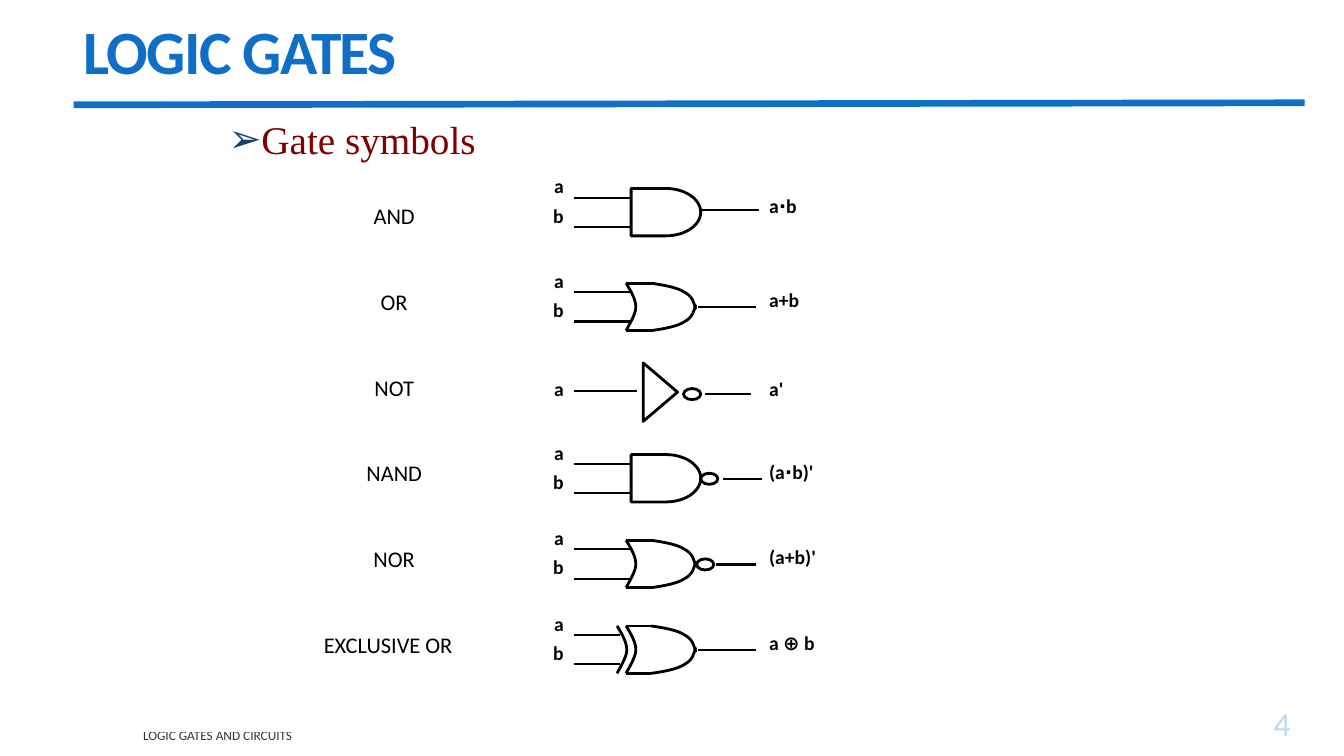
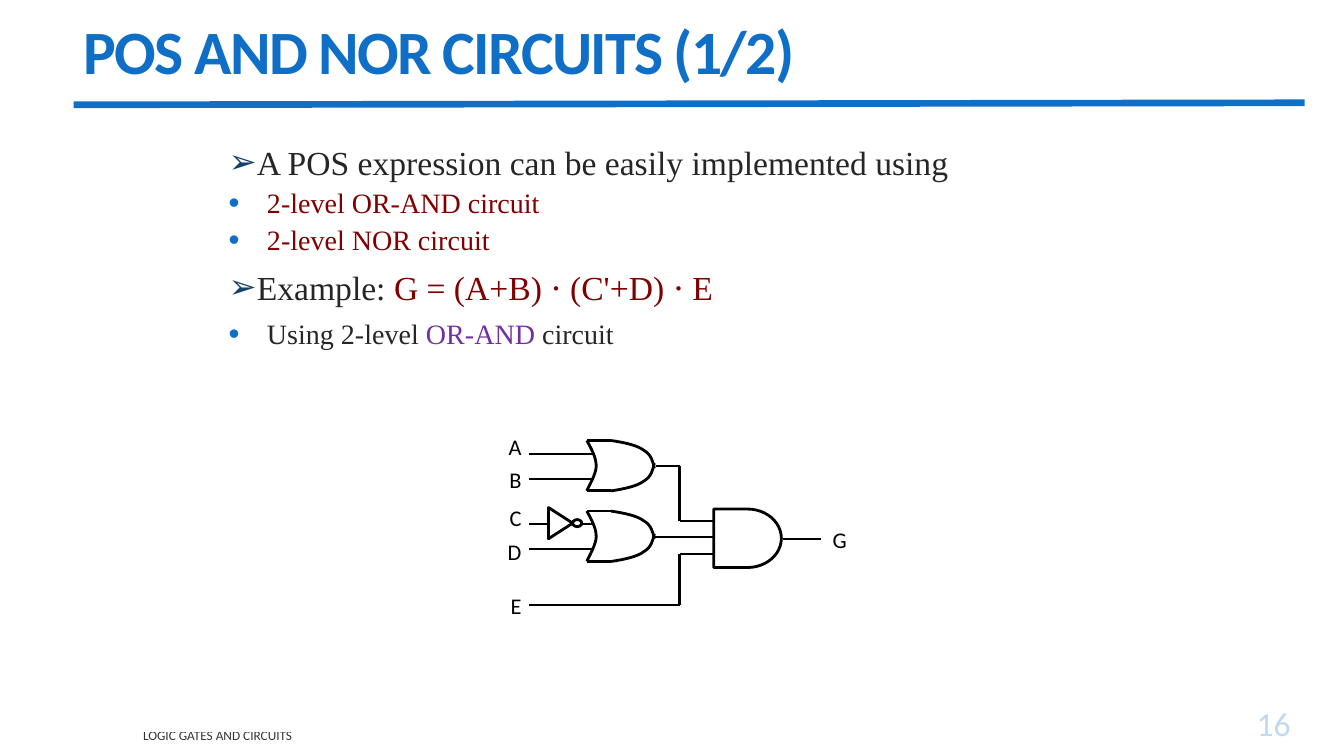
from dataclasses import dataclass

from lxml import etree
from pptx import Presentation
from pptx.dml.color import RGBColor
from pptx.enum.shapes import MSO_CONNECTOR, MSO_SHAPE
from pptx.enum.text import MSO_ANCHOR, PP_ALIGN
from pptx.oxml.ns import qn
from pptx.util import Inches, Pt


@dataclass(frozen=True)
class Theme:
    blue: str = "0F6FC6"
    navy: str = "17406D"
    maroon: str = "800000"
    purple: str = "7030A0"
    ink: str = "262626"
    black: str = "000000"
    white: str = "FFFFFF"
    number_alpha: int = 25
    footer_alpha: int = 80
    sans: str = "Calibri"
    serif: str = "Times New Roman"
    bullet_font: str = "Arial"
    title_size: float = 44
    number_size: float = 24
    footer_size: float = 9.5
    name_size: float = 16
    signal_size: float = 14
    heading_size: float = 28
    point_size: float = 24
    detail_size: float = 20
    rule_width: float = 4.75
    gate_width: float = 2
    wire_width: float = 1.5


THEME = Theme()

# Bezier points of the OR outline, in fractions of the gate's size.
OR_BACK = [(0, 0), (0.07, 0.17), (0.14, 0.34), (0.14, 0.51),
           (0.14, 0.66), (0.03, 0.91), (0, 1)]
OR_UPPER = [(0.36, 0), (0.55, 0.04), (0.74, 0.09), (0.84, 0.19),
            (0.96, 0.28), (0.98, 0.43), (1, 0.55)]
OR_LOWER = [(x, 1 - y) for x, y in OR_UPPER]


def rgb(colour):
    return RGBColor.from_string(colour)


class SlideWriter:
    def __init__(self, deck, theme):
        self.deck = deck
        self.theme = theme
        self.page = None

    def start(self, title, number, number_width):
        """Open a new slide with its title, rule, footer and number."""
        theme = self.theme
        self.page = self.deck.slides.add_slide(self.deck.slide_layouts[6])
        self.line((0.73, 1.04), (12.94, 1.02), theme.blue, theme.rule_width)
        footer = self.text((1.32, 7.17, 7.52, 0.25), "LOGIC GATES AND CIRCUITS",
                           theme.footer_size, anchor=MSO_ANCHOR.MIDDLE)
        self.fade(footer, theme.footer_alpha)
        corner = self.text((12.9 - number_width, 7, number_width, 0.42), str(number),
                           theme.number_size, theme.blue, PP_ALIGN.RIGHT,
                           anchor=MSO_ANCHOR.BOTTOM)
        self.fade(corner, theme.number_alpha)
        box = self.text((0.73, 0.08, 11.78, 0.94), title, theme.title_size,
                        theme.blue, bold=True, anchor=MSO_ANCHOR.MIDDLE)
        para = box.text_frame.paragraphs[0]
        para.line_spacing = 0.85
        para.runs[0].font._element.set("spc", "-120")

    def frame(self, at, anchor=MSO_ANCHOR.TOP):
        box = self.page.shapes.add_textbox(*map(Inches, at))
        box.text_frame.word_wrap = True
        box.text_frame.vertical_anchor = anchor
        return box

    def style(self, span, font, size, colour, bold=False):
        span.font.name = font
        span.font.size = Pt(size)
        span.font.bold = bold
        span.font.color.rgb = rgb(colour)

    def fade(self, box, percent):
        """Make the text of the box partly transparent."""
        for colour in box._element.iter(qn("a:srgbClr")):
            etree.SubElement(colour, qn("a:alpha")).set("val", str(percent * 1000))

    def text(self, at, words, size, colour=THEME.black, align=PP_ALIGN.LEFT,
             bold=False, anchor=MSO_ANCHOR.TOP):
        box = self.frame(at, anchor)
        box.text_frame.text = words
        for index, para in enumerate(box.text_frame.paragraphs):
            para.alignment = align
            para.space_before = Pt(4 if index else 0)
            for span in para.runs:
                self.style(span, self.theme.sans, size, colour, bold)
        return box

    def bullets(self, at, points):
        """Each point is (is detail, size, space before, [(words, colour), ...])."""
        frame = self.frame(at).text_frame
        for index, (detail, size, before, spans) in enumerate(points):
            para = frame.add_paragraph() if index else frame.paragraphs[0]
            para.line_spacing = 0.85
            para.space_before = Pt(before)
            self.mark(para, detail)
            for words, colour in spans:
                span = para.add_run()
                span.text = words
                self.style(span, self.theme.serif, size, colour)

    def mark(self, para, detail):
        """Give the paragraph its bullet and hanging indent."""
        hang = Inches(0.38 if detail else 0)
        props = para._p.get_or_add_pPr()
        props.set("marL", str(hang))
        props.set("indent", str(-hang))
        colour = etree.SubElement(props, qn("a:buClr"))
        etree.SubElement(colour, qn("a:srgbClr")).set(
            "val", self.theme.blue if detail else self.theme.navy)
        if detail:
            etree.SubElement(props, qn("a:buSzPct")).set("val", "112000")
        etree.SubElement(props, qn("a:buFont")).set("typeface", self.theme.bullet_font)
        etree.SubElement(props, qn("a:buChar")).set("char", "•" if detail else "➢")

    def line(self, start, end, colour, width):
        line = self.page.shapes.add_connector(
            MSO_CONNECTOR.STRAIGHT, *map(Inches, start + end))
        line.line.color.rgb = rgb(colour)
        line.line.width = Pt(width)
        etree.SubElement(line._element.spPr, qn("a:effectLst"))

    def wire(self, *points):
        for start, end in zip(points, points[1:]):
            self.line(start, end, self.theme.black, self.theme.wire_width)

    def outline(self, shape, filled=False):
        shape.shadow.inherit = False
        if filled:
            shape.fill.solid()
            shape.fill.fore_color.rgb = rgb(self.theme.white)
        else:
            shape.fill.background()
        shape.line.color.rgb = rgb(self.theme.black)
        shape.line.width = Pt(self.theme.gate_width)

    def preset(self, kind, at, filled=False):
        shape = self.page.shapes.add_shape(kind, *map(Inches, at))
        self.outline(shape, filled)
        return shape

    def and_gate(self, left, top, width, height):
        self.preset(MSO_SHAPE.FLOWCHART_DELAY, (left, top, width, height))

    def bubble(self, left, middle, width, height, filled=False):
        self.preset(MSO_SHAPE.OVAL, (left, middle - height / 2, width, height), filled)

    def inverter(self, centre, middle, width, height, filled=False):
        """Triangle pointing right: a downward one turned a quarter back."""
        at = (centre - height / 2, middle - width / 2, height, width)
        self.preset(MSO_SHAPE.FLOWCHART_MERGE, at, filled).rotation = 270

    def curve(self, at, points):
        """Draw an open line through the points, three to each Bezier piece."""
        left, top, width, height = at
        places = [(Inches(left + x * width), Inches(top + y * height)) for x, y in points]
        builder = self.page.shapes.build_freeform(*places[0])
        builder.add_line_segments(places[1:], close=False)
        shape = builder.convert_to_shape()
        segments = list(shape._element.iter(qn("a:lnTo")))
        for first in range(0, len(segments), 3):
            piece = etree.Element(qn("a:cubicBezTo"))
            segments[first].addprevious(piece)
            for segment in segments[first:first + 3]:
                piece.append(segment[0])
                segment.getparent().remove(segment)
        self.outline(shape)

    def or_gate(self, left, top, width, height):
        for points in (OR_BACK, OR_UPPER, OR_LOWER):
            self.curve((left, top, width, height), points)
        for level in (top, top + height):
            self.line((left, level), (left + 0.36 * width, level),
                      self.theme.black, self.theme.gate_width)

    def xor_gate(self, left, top, width, height):
        self.or_gate(left, top, width, height)
        self.curve((left - 0.09, top, width, height), OR_BACK)


def gate_symbols(writer):
    theme = writer.theme
    writer.start("LOGIC GATES", 4, 0.52)
    writer.bullets((2.17, 1.17, 9, 1.54), [
        (False, theme.heading_size, 0, [("Gate symbols", theme.maroon)])])

    first_row, row_step = 1.96, 0.85
    width, height = 0.69, 0.47
    and_left, or_left, wire_left = 6.26, 6.21, 5.69
    short_name, long_name = (3.28, 1.26), (2.47, 2.76)
    # name, its place, output, its width, symbol, symbol left, input end,
    # bubble left, output wire, depth of the output wire
    gates = [
        ("AND", short_name, "a⋅b", 0.8, writer.and_gate, and_left, 6.26,
         None, (6.95, 7.53), 0.21),
        ("OR", short_name, "a+b", 0.8, writer.or_gate, or_left, 6.26,
         None, (6.92, 7.5), 0.24),
        ("NOT", short_name, "a'", 0.69, None, None, 6.32,
         6.78, (6.99, 7.45), 0.25),
        ("NAND", short_name, "(a⋅b)'", 0.92, writer.and_gate, and_left, 6.26,
         6.95, (7.17, 7.56), 0.24),
        ("NOR", short_name, "(a+b)'", 1.03, writer.or_gate, or_left, 6.26,
         6.91, (7.1, 7.5), 0.24),
        ("EXCLUSIVE OR", long_name, "a ⊕ b", 1.03, writer.xor_gate, or_left, 6.15,
         None, (6.92, 7.5), 0.24),
    ]
    for row, (name, place, output, output_width, symbol, left, input_end,
              bubble, wire, depth) in enumerate(gates):
        name_top = first_row + row * row_step
        top = name_top if row else name_top - 0.09
        writer.text((place[0], name_top, place[1], 0.4), name,
                    theme.name_size, align=PP_ALIGN.CENTER)
        if symbol:
            symbol(left, top, width, height)
            inputs, input_top, input_height, output_top = "a\nb", top - 0.19, 0.72, top
            input_levels = (top + 0.09, top + 0.38)
        else:
            writer.inverter(6.55, top + 0.23, 0.34, 0.58)
            inputs, input_top, input_height, output_top = "a", top + 0.03, 0.36, top + 0.03
            input_levels = (top + 0.22,)
        for level in input_levels:
            writer.wire((wire_left, level), (input_end, level))
        if bubble:
            writer.bubble(bubble, top + depth, 0.17, 0.11)
        writer.wire((wire[0], top + depth), (wire[1], top + depth))
        writer.text((5.23, input_top, 0.46, input_height), inputs, theme.signal_size,
                    align=PP_ALIGN.RIGHT, bold=True)
        writer.text((7.53, output_top, output_width, 0.36), output,
                    theme.signal_size, bold=True)


def pos_circuit(writer):
    theme = writer.theme
    writer.start("POS AND NOR CIRCUITS (1/2)", 16, 1.3)
    writer.bullets((2.17, 1.42, 9, 5.42), [
        (False, theme.point_size, 0,
         [("A POS expression can be easily implemented using", theme.ink)]),
        (True, theme.detail_size, 6, [("2-level OR-AND circuit", theme.maroon)]),
        (True, theme.detail_size, 6, [("2-level NOR circuit", theme.maroon)]),
        (False, theme.point_size, 12,
         [("Example:", theme.ink), (" G = (A+B) ⋅ (C'+D) ⋅ E", theme.maroon)]),
        (True, theme.detail_size, 10,
         [("Using 2-level ", theme.ink), ("OR-AND", theme.purple),
          (" circuit", theme.ink)]),
    ])

    for name, top in (("A", 4.25), ("B", 4.58), ("C", 4.95), ("D", 5.29), ("E", 5.83)):
        writer.text((4.85, top, 0.42, 0.37), name, theme.name_size, align=PP_ALIGN.RIGHT)
    writer.text((8.16, 5.17, 0.39, 0.37), "G", theme.name_size)

    wire_left, bend, and_left = 5.25, 6.74, 7.08
    for level, end in ((4.5, 5.89), (4.75, 5.89), (5.2, 5.87), (5.45, 5.87)):
        writer.wire((wire_left, level), (end, level))
    writer.wire((6.51, 4.62), (bend, 4.62), (bend, 5.17), (and_left, 5.17))
    writer.wire((6.5, 5.33), (and_left, 5.33))
    writer.wire((wire_left, 6), (bend, 6), (bend, 5.5), (and_left, 5.5))
    writer.wire((7.77, 5.35), (8.14, 5.35))

    for top in (4.37, 5.07):
        writer.or_gate(5.82, top, 0.67, 0.5)
    writer.and_gate(and_left, 5.05, 0.67, 0.58)
    writer.inverter(5.56, 5.19, 0.24, 0.31, filled=True)
    writer.bubble(5.68, 5.19, 0.09, 0.07, filled=True)


def main():
    deck = Presentation()
    deck.slide_width = Inches(13.33)
    deck.slide_height = Inches(7.5)
    writer = SlideWriter(deck, THEME)
    gate_symbols(writer)
    pos_circuit(writer)
    deck.save("out.pptx")


if __name__ == "__main__":
    main()
